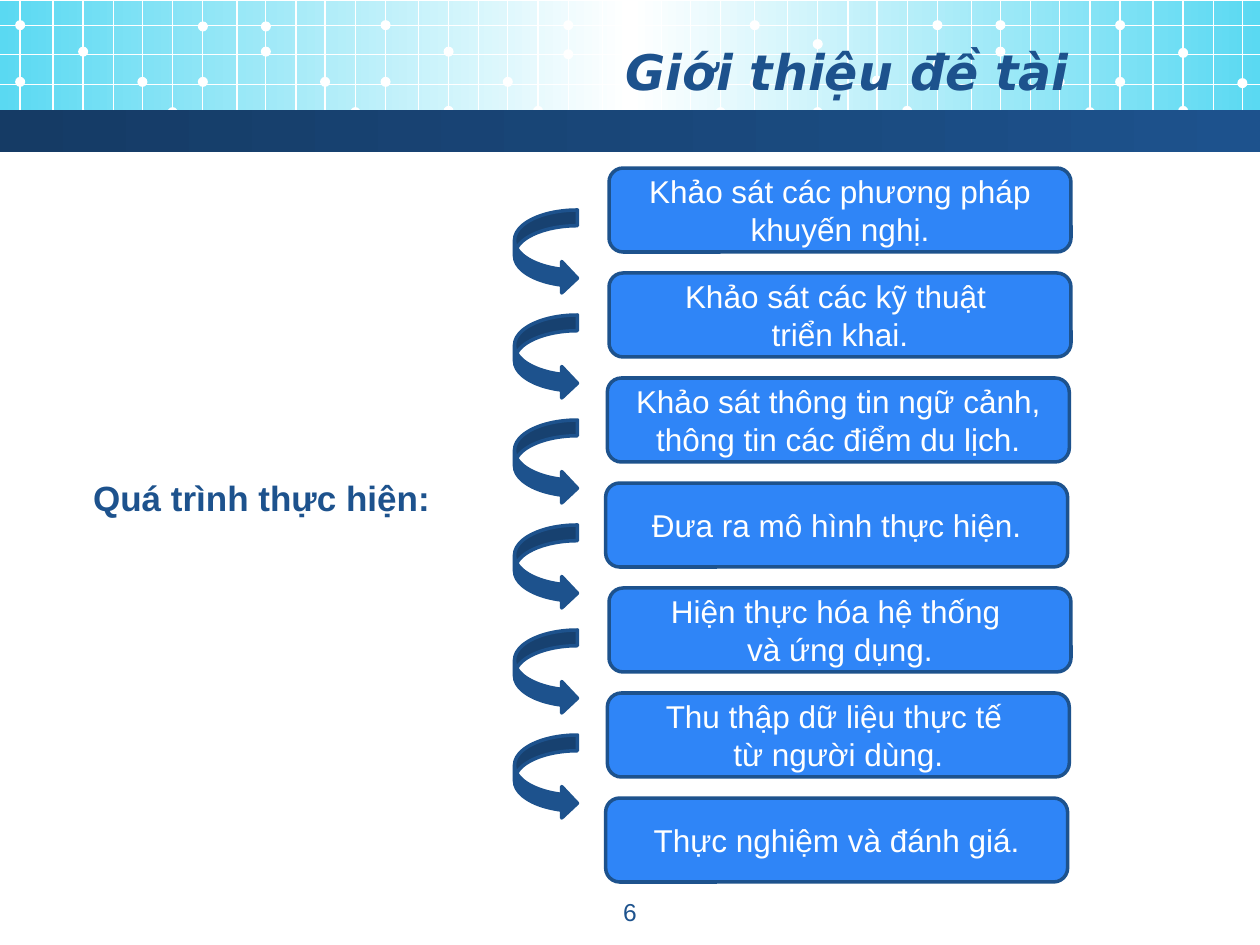
from dataclasses import dataclass
from typing import Any, NamedTuple

from lxml.etree import SubElement
from pptx import Presentation
from pptx.dml.color import RGBColor
from pptx.enum.shapes import MSO_CONNECTOR, MSO_SHAPE
from pptx.enum.text import MSO_ANCHOR, MSO_AUTO_SIZE, PP_ALIGN
from pptx.oxml.ns import qn
from pptx.util import Emu, Pt

PX = 914400 // 300  # 300 px to the inch


@dataclass(frozen=True)
class Theme:
    navy: str = "1D528D"
    deep_navy: str = "153B65"
    cyan: str = "5AD9F2"
    blue: str = "2F85F7"
    white: str = "FFFFFF"
    body_font: str = "Arial"
    title_font: str = "DejaVu Sans"
    title_size: int = 28
    label_size: int = 20
    step_size: int = 18
    number_size: int = 14
    outline: float = 2
    grid_line: float = 0.75


class Box(NamedTuple):
    left: int
    top: int
    width: int
    height: int

    def emu(self) -> list[Emu]:
        return [Emu(length * PX) for length in self]


class Step(NamedTuple):
    left: int
    text: str


class GridSection(NamedTuple):
    left: int
    dot_centers: tuple[int, ...]


THEME = Theme()
SLIDE_WIDTH, SLIDE_HEIGHT = 3000, 2250

# Header grid: the same uneven columns start again in each section
COLUMNS = (0, 78, 150, 222, 291, 363, 435, 516, 585, 657, 726, 798)
DOT_COLUMNS = (0, 0, 150, 150, 291, 363, 435, 435, 585, 585, 726, 798)
ROWS = (60, 129, 201, 267)
GRID_BOTTOM = 330
DOT = 24
SECTIONS = (
    GridSection(48, (195, 60, 123, 273, 195, 267, 195, 63, 123, 63, 195, 267)),
    GridSection(918, (195, 60, 123, 264, 195, 264, 129, 60, 126, 60, 195, 267)),
    GridSection(1797, (198, 60, 105, 267, 192, 264, 153, 60, 123, 60, 195, 267)),
    GridSection(2667, (195, 60, 126, 264, 198)),
)

# Process steps, evenly spaced from top to bottom
FIRST_STEP_TOP, FIRST_ARROW_TOP, STEP_PITCH = 400, 500, 250
STEPS = (
    Step(1450, "Khảo sát các phương pháp khuyến nghị."),
    Step(1450, "Khảo sát các kỹ thuật \vtriển khai."),
    Step(1446, "Khảo sát thông tin ngữ cảnh, thông tin các điểm du lịch."),
    Step(1442, "Đưa ra mô hình thực hiện."),
    Step(1450, "Hiện thực hóa hệ thống \vvà ứng dụng."),
    Step(1446, "Thu thập dữ liệu thực tế \vtừ người dùng."),
    Step(1442, "Thực nghiệm và đánh giá."),
)


def apply_format(target: Any, values: dict[str, Any]) -> None:
    for name, value in values.items():
        setattr(target, name, value)


def write(shape: Any, text: str, color: str, font: dict[str, Any],
          align: Any = PP_ALIGN.LEFT, **frame_format: Any) -> None:
    frame = shape.text_frame
    frame.text = text
    apply_format(frame, frame_format)
    paragraph = frame.paragraphs[0]
    paragraph.alignment = align
    for run in paragraph.runs:
        apply_format(run.font, font)
        run.font.color.rgb = RGBColor.from_string(color)


def draw_shape(slide: Any, preset: Any, box: Box, fill: str | None = None,
               line: str | None = None) -> Any:
    shape = slide.shapes.add_shape(preset, *box.emu())
    shape.shadow.inherit = False
    if fill:
        shape.fill.solid()
        shape.fill.fore_color.rgb = RGBColor.from_string(fill)
    if line:
        shape.line.color.rgb = RGBColor.from_string(line)
        shape.line.width = Pt(THEME.outline)
    else:
        shape.line.fill.background()
    return shape


def draw_band(slide: Any, box: Box, colors: tuple[str, ...]) -> None:
    """Draw a rectangle with evenly spaced colours from left to right."""
    band = draw_shape(slide, MSO_SHAPE.RECTANGLE, box)
    band.fill.gradient()
    band.fill.gradient_angle = 0
    stops = band.element.spPr.find(qn("a:gradFill")).find(qn("a:gsLst"))
    for stop in list(stops):
        stops.remove(stop)
    for index, color in enumerate(colors):
        position = 100000 * index // (len(colors) - 1)
        stop = SubElement(stops, qn("a:gs"), pos=str(position))
        SubElement(stop, qn("a:srgbClr"), val=color)


def draw_grid_line(slide: Any, x1: int, y1: int, x2: int, y2: int) -> None:
    ends = [Emu(length * PX) for length in (x1, y1, x2, y2)]
    line = slide.shapes.add_connector(MSO_CONNECTOR.STRAIGHT, *ends)
    line.line.color.rgb = RGBColor.from_string(THEME.white)
    line.line.width = Pt(THEME.grid_line)
    SubElement(line.element.spPr, qn("a:effectLst"))


def draw_header(slide: Any) -> None:
    draw_band(slide, Box(0, 3, SLIDE_WIDTH, 306), (THEME.cyan, THEME.white, THEME.cyan))
    for section in SECTIONS:
        for x in (section.left + column for column in COLUMNS):
            if x < SLIDE_WIDTH:
                draw_grid_line(slide, x, 0, x, GRID_BOTTOM)
        for column, center in zip(DOT_COLUMNS, section.dot_centers):
            dot = Box(section.left + column - DOT // 2, center - DOT // 2, DOT, DOT)
            draw_shape(slide, MSO_SHAPE.OVAL, dot, THEME.white)
    for y in ROWS:
        draw_grid_line(slide, 0, y, SLIDE_WIDTH, y)
    draw_band(slide, Box(0, 263, SLIDE_WIDTH, 99), (THEME.deep_navy, THEME.navy))


def draw_title(slide: Any) -> None:
    title = slide.shapes.title
    left, top, width, height = Box(150, 75, 2424, 186).emu()
    apply_format(title, {"left": left, "top": top, "width": width, "height": height})
    font = {"name": THEME.title_font, "size": Pt(THEME.title_size),
            "bold": True, "italic": True}
    write(title, "Giới thiệu đề tài", THEME.navy, font, PP_ALIGN.RIGHT,
          vertical_anchor=MSO_ANCHOR.MIDDLE, auto_size=MSO_AUTO_SIZE.NONE)
    # Bring the title in front of the header
    title.element.getparent().append(title.element)


def draw_process(slide: Any) -> None:
    font = {"name": THEME.body_font, "size": Pt(THEME.step_size)}
    for index, step in enumerate(STEPS):
        offset = index * STEP_PITCH
        box = Box(step.left, FIRST_STEP_TOP + offset, 1100, 200)
        card = draw_shape(slide, MSO_SHAPE.ROUNDED_RECTANGLE, box, THEME.blue, THEME.navy)
        write(card, step.text, THEME.white, font, PP_ALIGN.CENTER,
              vertical_anchor=MSO_ANCHOR.MIDDLE, word_wrap=True)
        if index < len(STEPS) - 1:
            arrow = Box(1225, FIRST_ARROW_TOP + offset, 150, 200)
            draw_shape(slide, MSO_SHAPE.CURVED_RIGHT_ARROW, arrow, THEME.navy, THEME.navy)


def main() -> None:
    presentation = Presentation()
    presentation.slide_width = Emu(SLIDE_WIDTH * PX)
    presentation.slide_height = Emu(SLIDE_HEIGHT * PX)
    slide = presentation.slides.add_slide(presentation.slide_layouts.get_by_name("Title Only"))

    draw_header(slide)
    draw_title(slide)
    draw_process(slide)

    # Process label and page number
    label = slide.shapes.add_textbox(*Box(192, 1119, 867, 132).emu())
    label_font = {"name": THEME.body_font, "size": Pt(THEME.label_size), "bold": True}
    write(label, "Quá trình thực hiện:", THEME.navy, label_font,
          word_wrap=False, auto_size=MSO_AUTO_SIZE.SHAPE_TO_FIT_TEXT)
    page_number = slide.shapes.add_textbox(*Box(1150, 2121, 700, 105).emu())
    number_font = {"name": THEME.body_font, "size": Pt(THEME.number_size)}
    write(page_number, "6", THEME.navy, number_font, PP_ALIGN.CENTER, word_wrap=True)

    presentation.save("out.pptx")


if __name__ == "__main__":
    main()
